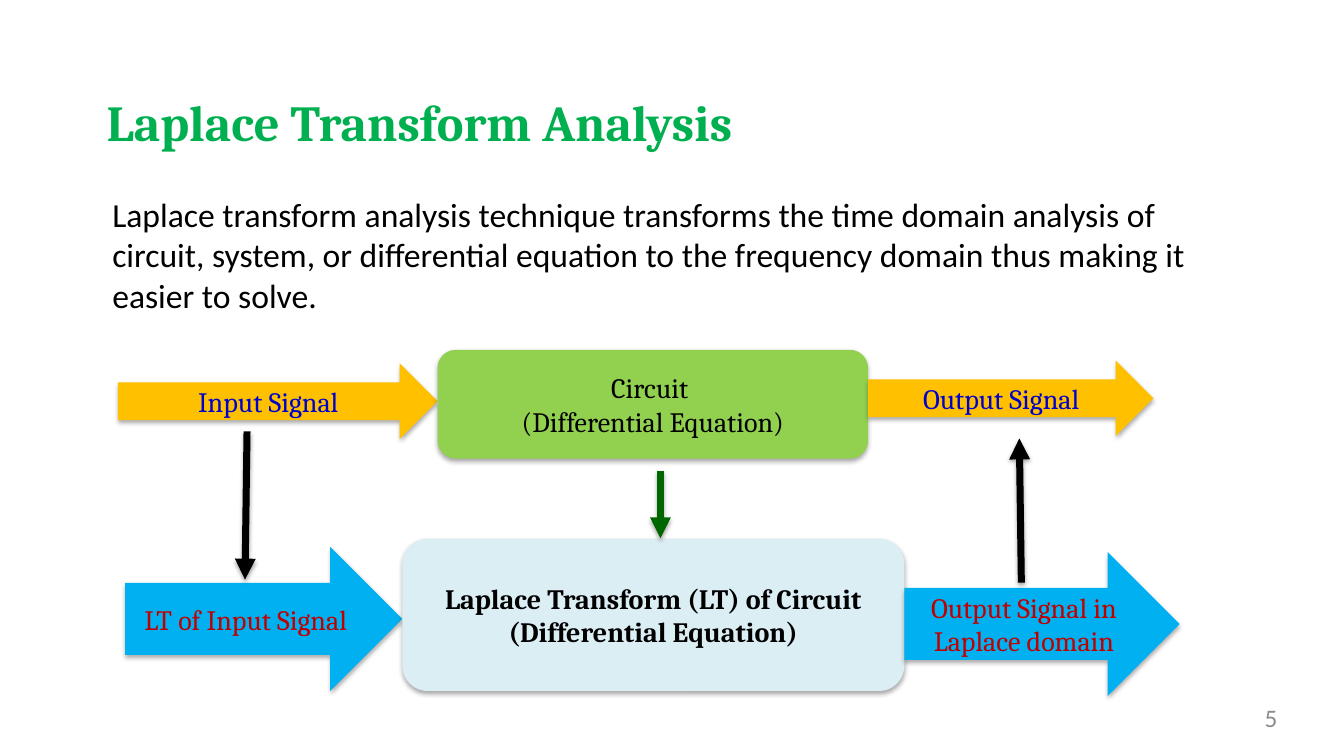
from lxml import etree
from pptx import Presentation
from pptx.dml.color import RGBColor
from pptx.enum.shapes import MSO_CONNECTOR, MSO_SHAPE
from pptx.enum.text import MSO_ANCHOR, PP_ALIGN
from pptx.oxml.ns import qn
from pptx.util import Inches, Pt

ARROW, ROUNDED = MSO_SHAPE.RIGHT_ARROW, MSO_SHAPE.ROUNDED_RECTANGLE
STRAIGHT = MSO_CONNECTOR.STRAIGHT
LEFT, CENTER, RIGHT = PP_ALIGN.LEFT, PP_ALIGN.CENTER, PP_ALIGN.RIGHT
TOP, MIDDLE = MSO_ANCHOR.TOP, MSO_ANCHOR.MIDDLE

COLORS = {
    "title": "00B050", "black": "000000", "number": "8C8C8C",
    "circuit": "92D050", "signal": "FFC000", "signal text": "0000CC",
    "laplace": "DBEEF4", "transform": "00B0F0", "transform text": "C00000",
    "down": "006600",
}
SLIDE_WIDTH, SLIDE_HEIGHT = 13.33, 7.5
MARGIN = 0.96

TITLE = "Laplace Transform Analysis"
EXPLANATION = (
    "Laplace transform analysis technique transforms the time domain analysis of "
    "circuit, system, or differential equation to the frequency domain thus making "
    "it easier to solve."
)
PAGE_NUMBER = "5"

# label lines, preset, width, height, vertical centre, fill, text colour, bold
FLOWS = [
    (1.17, [
        (["Input Signal"], ARROW, 3.17, 0.75, 3.98, "signal", "signal text", False),
        (["Circuit ", "(Differential Equation)"], ROUNDED, 4.27, 1.08, 4.01,
         "circuit", "black", False),
        (["Output Signal"], ARROW, 2.83, 0.75, 3.95, "signal", "signal text", False),
    ]),
    (1.24, [
        (["LT of Input Signal"], ARROW, 2.75, 1.43, 6.14,
         "transform", "transform text", False),
        (["Laplace Transform (LT) of Circuit", "(Differential Equation)"], ROUNDED,
         4.98, 1.51, 6.1, "laplace", "black", True),
        (["Output Signal in Laplace domain"], ARROW, 2.73, 1.43, 6.19,
         "transform", "transform text", False),
    ]),
]
STEPS = [
    ((2.45, 4.28), (2.43, 5.75), "black"),
    ((10.13, 5.78), (10.11, 4.35), "black"),
    ((6.55, 4.67), (6.55, 5.34), "down"),
]


def rgb(name):
    return RGBColor.from_string(COLORS[name])


def write(shape, lines, font, size, color, bold=False, align=LEFT, anchor=MIDDLE,
          wrap=True):
    frame = shape.text_frame
    frame.word_wrap = wrap
    frame.vertical_anchor = anchor
    for index, line in enumerate(lines):
        paragraph = frame.paragraphs[0] if index == 0 else frame.add_paragraph()
        paragraph.alignment = align
        run = paragraph.add_run()
        run.text = line
        run.font.name = font
        run.font.size = Pt(size)
        run.font.bold = bold
        run.font.color.rgb = rgb(color)


def cast_shadow(shape, blur, distance, opacity):
    properties = shape._element.spPr
    effects = properties.find(qn("a:effectLst"))
    if effects is None:
        effects = etree.SubElement(properties, qn("a:effectLst"))
    shadow = etree.SubElement(
        effects, qn("a:outerShdw"), blurRad=str(Pt(blur)), dist=str(Pt(distance)),
        dir="5400000", rotWithShape="0")
    tint = etree.SubElement(shadow, qn("a:srgbClr"), val=COLORS["black"])
    etree.SubElement(tint, qn("a:alpha"), val=str(opacity * 1000))


def add_block(slide, preset, left, top, width, height, fill=None):
    block = slide.shapes.add_shape(
        preset, Inches(left), Inches(top), Inches(width), Inches(height))
    block.shadow.inherit = False
    block.line.fill.background()
    if fill:
        block.fill.solid()
        block.fill.fore_color.rgb = rgb(fill)
        cast_shadow(block, 3.5, 2.2, 32)
    else:
        block.fill.background()
    return block


def add_step(slide, start, end, color):
    step = slide.shapes.add_connector(STRAIGHT, *map(Inches, start + end))
    step.line.width = Pt(5)
    step.line.color.rgb = rgb(color)
    etree.SubElement(step.line._get_or_add_ln(), qn("a:tailEnd"), type="triangle")
    cast_shadow(step, 3.1, 1.8, 35)


def main():
    deck = Presentation()
    deck.slide_width, deck.slide_height = Inches(SLIDE_WIDTH), Inches(SLIDE_HEIGHT)
    slide = deck.slides.add_slide(deck.slide_layouts[6])

    title = slide.shapes.add_textbox(
        Inches(MARGIN), Inches(0.85), Inches(6.6), Inches(0.71))
    write(title, [TITLE], "Cambria", 36, "title", bold=True, anchor=TOP, wrap=False)

    for left, parts in FLOWS:
        for lines, preset, width, height, middle, fill, color, bold in parts:
            block = add_block(
                slide, preset, left, middle - height / 2, width, height, fill)
            write(block, lines, "Cambria", 20, color, bold, CENTER)
            left += width

    for start, end, color in STEPS:
        add_step(slide, start, end, color)

    number = slide.shapes.add_textbox(
        Inches(9.6), Inches(6.97), Inches(3.07), Inches(0.3))
    frame = number.text_frame
    frame.margin_left = frame.margin_right = frame.margin_top = frame.margin_bottom = 0
    write(number, [PAGE_NUMBER], "Calibri", 18, "number", align=RIGHT, anchor=TOP)

    explanation = add_block(slide, ROUNDED, MARGIN, 1.95, 11.04, 1.15)
    write(explanation, [EXPLANATION], "Calibri", 24, "black")

    deck.save("out.pptx")


if __name__ == "__main__":
    main()
